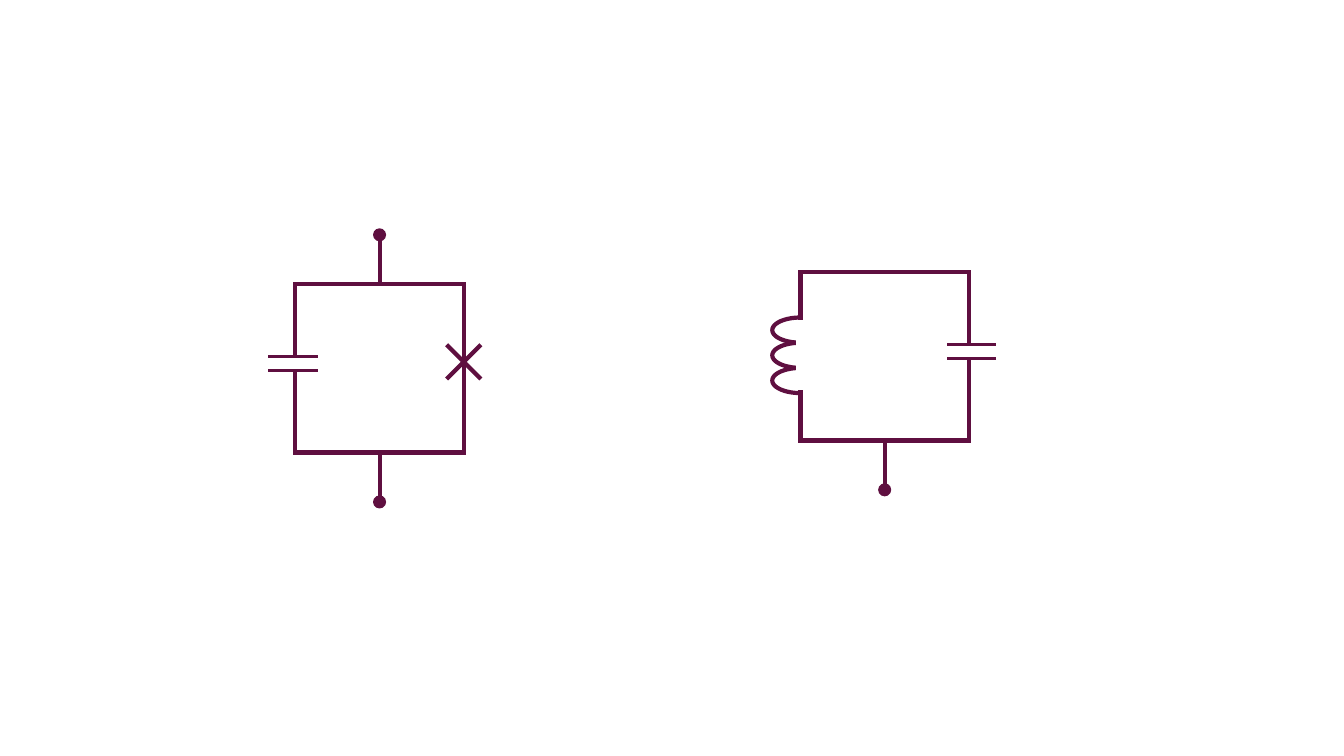
from dataclasses import dataclass
from math import cos, pi, sin

from lxml import etree
from pptx import Presentation
from pptx.dml.color import RGBColor
from pptx.enum.shapes import MSO_CONNECTOR, MSO_SHAPE
from pptx.oxml.ns import qn
from pptx.util import Inches, Pt

RECTANGLE, OVAL = MSO_SHAPE.RECTANGLE, MSO_SHAPE.OVAL
STRAIGHT = MSO_CONNECTOR.STRAIGHT


@dataclass(frozen=True)
class Theme:
    wire: RGBColor = RGBColor(0x5F, 0x0F, 0x40)
    background: RGBColor = RGBColor(0xFF, 0xFF, 0xFF)
    wire_width: float = 3
    gap_width: float = 1


THEME = Theme()
LOOP_SIZE = 1.67


def stroke(part, color=THEME.wire, width=THEME.wire_width):
    """Give a part a solid line with sharp corners."""
    part.line.color.rgb = color
    part.line.width = Pt(width)
    outline = part.line._get_or_add_ln()
    etree.SubElement(outline, qn("a:miter"), lim="800000")


def draw_wire(slide, x1, y1, x2, y2):
    wire = slide.shapes.add_connector(
        STRAIGHT, Inches(x1), Inches(y1), Inches(x2), Inches(y2))
    stroke(wire)
    etree.SubElement(wire._element.spPr, qn("a:effectLst"))


def draw_shape(slide, kind, x, y, width, height, fill=None):
    part = slide.shapes.add_shape(
        kind, Inches(x), Inches(y), Inches(width), Inches(height))
    part.shadow.inherit = False
    if fill is None:
        part.fill.background()
    else:
        part.fill.solid()
        part.fill.fore_color.rgb = fill
    return part


def draw_loop(slide, left, top):
    stroke(draw_shape(slide, RECTANGLE, left, top, LOOP_SIZE, LOOP_SIZE))


def draw_gap(slide, x, y, width, height):
    """Interrupt the wire with a patch of background."""
    gap = draw_shape(slide, RECTANGLE, x, y, width, height, THEME.background)
    stroke(gap, THEME.background, THEME.gap_width)


def draw_capacitor(slide, x, top, outward):
    """Two plates on the wire at x; outward is -1 for left, 1 for right."""
    for plate_y in (top + 0.85, top + 0.72):
        draw_wire(slide, x + outward * 0.27, plate_y,
                  x - outward * 0.22, plate_y)
    draw_gap(slide, x - 0.305 + outward * 0.005, top + 0.74, 0.61, 0.09)


def draw_junction(slide, x, y, reach=0.17):
    for slope in (1, -1):
        draw_wire(slide, x - reach, y - slope * reach,
                  x + reach, y + slope * reach)


def draw_inductor(slide, x, top, turns=3, pitch=0.25, bulge=0.28, steps=32):
    """Half-ellipse turns to the left of the wire at x."""
    for turn in range(turns):
        center = top + (turn + 0.5) * pitch
        points = [(Inches(x - bulge * sin(pi * i / steps)),
                   Inches(center - pitch / 2 * cos(pi * i / steps)))
                  for i in range(steps + 1)]
        outline = slide.shapes.build_freeform(*points[0])
        outline.add_line_segments(points[1:], close=True)
        coil = outline.convert_to_shape()
        coil.shadow.inherit = False
        coil.fill.background()
        stroke(coil)
    draw_gap(slide, x - 0.04, top + 0.03, 0.32, turns * pitch - 0.07)


def draw_terminal(slide, x, y, direction, length=0.49, dot=0.13):
    """Lead from the loop edge, ending in a dot; direction -1 is up."""
    end = y + direction * length
    draw_wire(slide, x, y, x, end)
    node = draw_shape(slide, OVAL, x - dot / 2, end - dot / 2,
                      dot, dot, THEME.wire)
    node.line.fill.background()


def draw_junction_circuit(slide, left, top):
    middle = left + LOOP_SIZE / 2
    draw_loop(slide, left, top)
    draw_capacitor(slide, left, top, -1)
    draw_junction(slide, left + LOOP_SIZE, top + 0.77)
    draw_terminal(slide, middle, top, -1)
    draw_terminal(slide, middle, top + LOOP_SIZE, 1)


def draw_resonator_circuit(slide, left, top):
    draw_loop(slide, left, top)
    draw_capacitor(slide, left + LOOP_SIZE, top, 1)
    draw_inductor(slide, left, top + 0.45)
    draw_terminal(slide, left + LOOP_SIZE / 2, top + LOOP_SIZE, 1)


def main():
    deck = Presentation()
    deck.slide_width, deck.slide_height = Inches(13.33), Inches(7.5)
    slide = deck.slides.add_slide(deck.slide_layouts[6])
    draw_junction_circuit(slide, 2.93, 2.82)
    draw_resonator_circuit(slide, 7.94, 2.7)
    deck.save("out.pptx")


if __name__ == "__main__":
    main()
